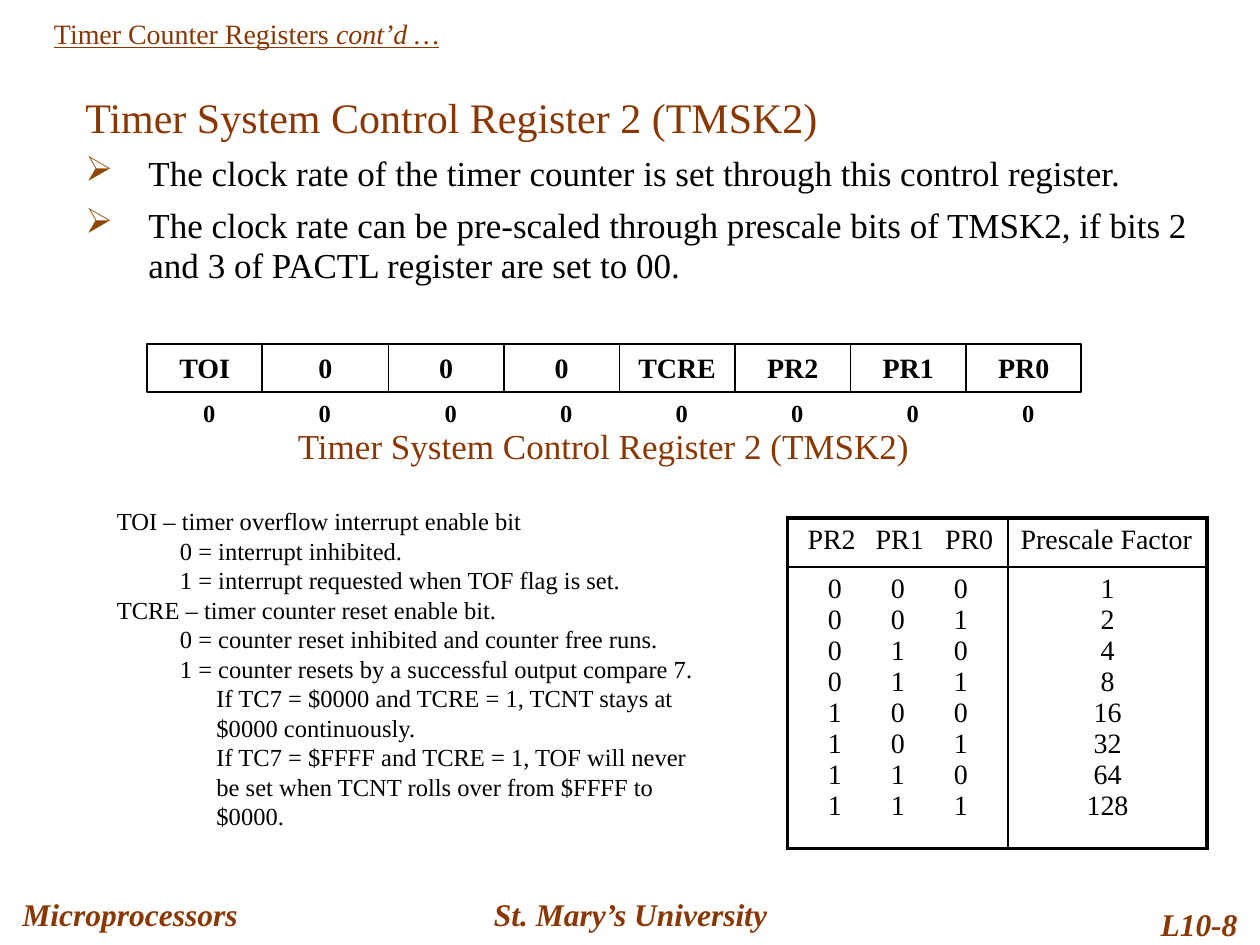
from itertools import accumulate
from lxml.etree import SubElement
from pptx import Presentation
from pptx.dml.color import RGBColor
from pptx.enum.shapes import MSO_SHAPE as Shape
from pptx.enum.text import MSO_ANCHOR as Anchor, PP_ALIGN as Align
from pptx.oxml import parse_xml
from pptx.oxml.ns import nsdecls, qn
from pptx.util import Inches, Pt

COLORS = {"brown": "8A3704", "bullet": "8E4700", "black": "000000"}
FACE = "Times New Roman"
REGISTER = "Timer System Control Register 2 (TMSK2)"
BITS = ["TOI", "0", "0", "0", "TCRE", "PR2", "PR1", "PR0"]
BIT_WIDTHS = [11 / 12, 1] + [11 / 12] * 6
BULLETS = [
    "The clock rate of the timer counter is set through this control register.",
    "The clock rate can be pre-scaled through prescale bits of TMSK2, "
    "if bits 2 and 3 of PACTL register are set to 00.",
]
BIT_NOTES = [
    (0.5, "TOI – timer overflow interrupt enable bit"),
    (1, "0 = interrupt inhibited."),
    (1, "1 = interrupt requested when TOF flag is set."),
    (0.5, "TCRE – timer counter reset enable bit."),
    (1, "0 = counter reset inhibited and counter free runs."),
    (1, "1 = counter resets by a successful output compare 7."),
    (1.29, "If TC7 = $0000 and TCRE = 1, TCNT stays at"),
    (1.29, "$0000 continuously."),
    (1.29, "If TC7 = $FFFF and TCRE = 1, TOF will never"),
    (1.29, "be set when TCNT rolls over from $FFFF to"),
    (1.29, "$0000."),
]


def add_run(paragraph, text, size, color="black", **formats):
    """Append a run with its font settings."""
    run = paragraph.add_run()
    run.text = text
    settings = {"name": FACE, "size": Pt(size), **formats}
    for name, value in settings.items():
        setattr(run.font, name, value)
    run.font.color.rgb = RGBColor.from_string(COLORS[color])


def next_paragraph(frame, **formats):
    """Return the first unused paragraph of a frame, formatted."""
    first = frame.paragraphs[0]
    paragraph = frame.add_paragraph() if first.runs else first
    for name, value in formats.items():
        setattr(paragraph, name, value)
    return paragraph


def set_indent(paragraph, left, hanging=0):
    """Set the left margin and hanging indent in inches."""
    properties = paragraph._p.get_or_add_pPr()
    properties.set("marL", str(Inches(left)))
    properties.set("indent", str(-Inches(hanging)))


def set_bullet(paragraph):
    """Give a paragraph the arrow bullet."""
    properties = paragraph._p.get_or_add_pPr()
    tint = SubElement(properties, qn("a:buClr"))
    SubElement(tint, qn("a:srgbClr"), val=COLORS["bullet"])
    SubElement(properties, qn("a:buChar"), char="➢")


def set_tabs(paragraph, stops):
    """Set left tab stops in inches."""
    tabs = SubElement(paragraph._p.get_or_add_pPr(), qn("a:tabLst"))
    for stop in stops:
        SubElement(tabs, qn("a:tab"), pos=str(Inches(stop)), algn="l")


def add_text(slide, box, anchor=Anchor.TOP):
    """Add a wrapping text box and return its frame."""
    frame = slide.shapes.add_textbox(*map(Inches, box)).text_frame
    frame.word_wrap = True
    frame.vertical_anchor = anchor
    return frame


def add_label(slide, box, text, size, color, align=Align.LEFT, anchor=Anchor.TOP, **formats):
    """Add a text box that holds one run."""
    frame = add_text(slide, box, anchor)
    add_run(next_paragraph(frame, alignment=align), text, size, color, **formats)


def add_footer(slide):
    """Add the course, school and page labels."""
    for box, text, align in [
        ((0.08, 7, 2.42, 0.5), "Microprocessors", Align.LEFT),
        ((3.42, 7, 3.17, 0.5), "St. Mary’s University", Align.CENTER),
        ((8.67, 7.08, 1.25, 0.5), "L10-8", Align.RIGHT),
    ]:
        add_label(slide, box, text, 18, "brown", align, Anchor.MIDDLE, bold=True, italic=True)


def add_heading(slide):
    """Add the running title, register heading and bullets."""
    running_title = next_paragraph(add_text(slide, (0.33, 0.08, 8.92, 0.37)))
    add_run(running_title, "Timer Counter Registers ", 16, "brown", underline=True)
    add_run(running_title, "cont’d …", 16, "brown", underline=True, italic=True)
    overview = add_text(slide, (0.58, 0.68, 9, 1.65))
    add_run(next_paragraph(overview), REGISTER, 24, "brown")
    for text in BULLETS:
        point = next_paragraph(overview, line_spacing=0.95, space_before=Pt(7))
        set_indent(point, 0.5, 0.5)
        set_bullet(point)
        add_run(point, text, 20)


def add_bit(slide, left, width, name):
    """Add one register bit with its reset value below."""
    bit = slide.shapes.add_shape(Shape.RECTANGLE, *map(Inches, (left, 2.73, width, 0.38)))
    bit.shadow.inherit = False
    bit.fill.background()
    bit.line.color.rgb = RGBColor.from_string(COLORS["black"])
    bit.line.width = Pt(1)
    bit.text_frame.vertical_anchor = Anchor.TOP
    add_run(next_paragraph(bit.text_frame, alignment=Align.CENTER), name, 16, bold=True)
    add_label(slide, (left + 0.33, 3.11, 0.33, 0.33), "0", 14, "black", Align.CENTER, bold=True)


def add_register(slide):
    """Add the row of bits and its caption."""
    lefts = accumulate(BIT_WIDTHS, initial=7 / 6)
    for left, width, name in zip(lefts, BIT_WIDTHS, BITS):
        add_bit(slide, left, width, name)
    add_label(slide, (2, 3.32, 5.58, 0.43), REGISTER, 20, "brown", Align.CENTER)


def add_bit_notes(slide):
    """Add the explanation of the TOI and TCRE bits."""
    notes = add_text(slide, (0.33, 3.98, 5.5, 2.65))
    for index, (left, text) in enumerate(BIT_NOTES):
        spacing = {"line_spacing": 0.8, "space_before": Pt(3.4)} if index else {"line_spacing": 0.95}
        note = next_paragraph(notes, **spacing)
        set_indent(note, left)
        add_run(note, text, 14)


def set_borders(cell, row, column):
    """Draw thick outer and thin inner borders in a 2 by 2 table."""
    outer = {"L": column == 0, "R": column == 1, "T": row == 0, "B": row == 1}
    properties = cell._tc.get_or_add_tcPr()
    for position, (side, thick) in enumerate(outer.items()):
        width = Pt(2.25 if thick else 1)
        properties.insert(position, parse_xml(
            f'<a:ln{side} {nsdecls("a")} w="{width}"><a:solidFill>'
            f'<a:srgbClr val="{COLORS["black"]}"/></a:solidFill></a:ln{side}>'))


def add_prescale_table(slide):
    """Add the table of prescale bits and factors."""
    table = slide.shapes.add_table(2, 2, *map(Inches, (6.25, 4.11, 3.33, 2.62))).table
    table.first_row = table.horz_banding = False
    for column, width in zip(table.columns, (1.75, 1.58)):
        column.width = Inches(width)
    for row, height in zip(table.rows, (0.39, 2.23)):
        row.height = Inches(height)
    patterns = [f"\t{n >> 2 & 1}\t{n >> 1 & 1}\t{n & 1}" for n in range(8)]
    factors = [str(2 ** n) for n in range(8)]
    contents = [
        (0, 0, ["\tPR2\tPR1\tPR0"], Align.LEFT, (0.06, 0.6, 1.15)),
        (0, 1, ["Prescale Factor"], Align.LEFT, ()),
        (1, 0, patterns, Align.LEFT, (0.22, 0.72, 1.22)),
        (1, 1, factors, Align.CENTER, ()),
    ]
    for row, column, lines, align, stops in contents:
        cell = table.cell(row, column)
        cell.fill.background()
        set_borders(cell, row, column)
        for text in lines:
            line = next_paragraph(cell.text_frame, alignment=align)
            if stops:
                set_tabs(line, stops)
            add_run(line, text, 16)


def main():
    """Build the slide and save it."""
    deck = Presentation()
    deck.slide_width, deck.slide_height = Inches(10), Inches(7.5)
    slide = deck.slides.add_slide(deck.slide_layouts[6])
    for add_part in (add_footer, add_heading, add_register, add_bit_notes, add_prescale_table):
        add_part(slide)
    deck.save("out.pptx")


if __name__ == "__main__":
    main()
